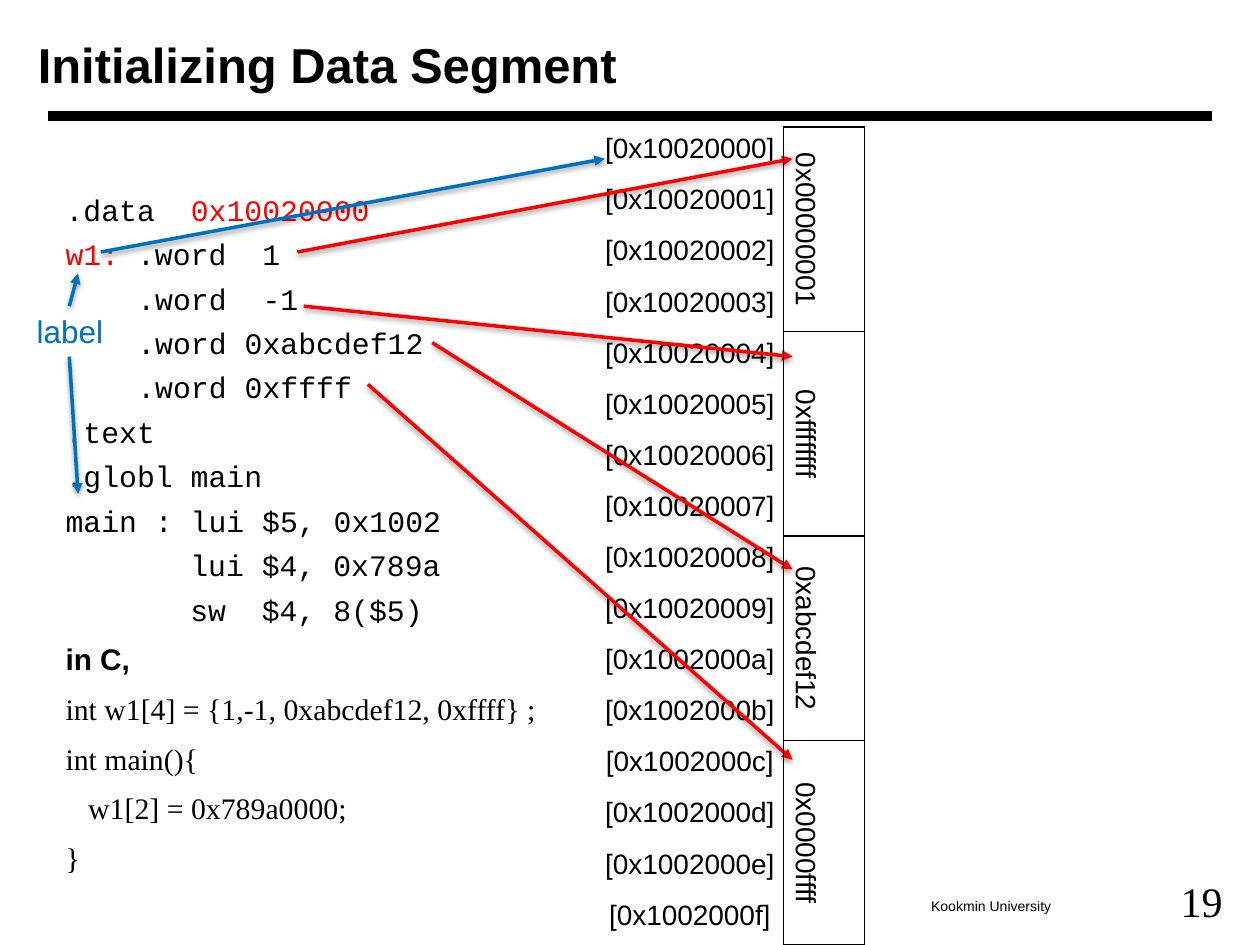
from lxml.etree import SubElement as Sub
from pptx import Presentation
from pptx.dml.color import RGBColor as Rgb
from pptx.enum.shapes import MSO_CONNECTOR as Conn
from pptx.enum.text import MSO_ANCHOR as Anchor, PP_ALIGN as Align
from pptx.oxml import parse_xml
from pptx.oxml.ns import nsdecls, qn
from pptx.util import Pt

PX = 9144  # 100 px to the inch
HEX = {"ink": "000000", "red": "FF0000", "blue": "0070C0"}
SANS, MONO, SERIF = "Arial", "Courier New", "Times New Roman"
PLAIN = "{2D5ABB26-0587-4C30-8999-92F81FD0307C}"  # table style without grid

# Each code line: indent in px, then (text, colour) runs
CODE = [
    (0, [(".data  ", "ink"), ("0x10020000", "red")]),
    (0, [("w1: ", "red"), (".word  1", "ink")]),
    (57, [(".word  -1", "ink")]),
    (57, [(".word 0xabcdef12", "ink")]),
    (57, [(".word 0xffff", "ink")]),
    (0, [(".text", "ink")]),
    (0, [(".globl main", "ink")]),
    (0, [("main : lui $5, 0x1002", "ink")]),
    (99, [("lui $4, 0x789a", "ink")]),
    (99, [("sw  $4, 8($5)", "ink")]),
]
C_CODE = [
    (0, "in C,", SANS),
    (0, "int w1[4] = {1,-1, 0xabcdef12, 0xffff} ;", SERIF),
    (0, "int main(){", SERIF),
    (18, "w1[2] = 0x789a0000;", SERIF),
    (0, "}", SERIF),
]
WORDS = ["0x00000001", "0xffffffff", "0xabcdef12", "0x0000ffff"]
ARROWS = [
    ("blue", 55, 243, 62, 217),
    ("red", 236, 200, 629, 126),
    ("red", 241, 243, 629, 283),
    ("red", 343, 272, 629, 452),
    ("red", 292, 305, 629, 603),
    ("blue", 80, 200, 480, 126),
    ("blue", 55, 283, 62, 392),
]


def style(run, size, face=SANS, hue="ink", bold=False):
    font = run.font
    font.size, font.name, font.bold = Pt(size), face, bold
    font.color.rgb = Rgb.from_string(HEX[hue])


def frame(slide, box, wrap=True):
    tf = slide.shapes.add_textbox(*(n * PX for n in box)).text_frame
    tf.word_wrap = wrap
    tf.margin_left = tf.margin_right = tf.margin_top = tf.margin_bottom = 5 * PX
    return tf


def label(slide, box, text, size, face=SANS, hue="ink", bold=False):
    tf = frame(slide, box, wrap=bold)
    tf.text = text
    tf.vertical_anchor = Anchor.MIDDLE if bold else Anchor.TOP
    style(tf.paragraphs[0].runs[0], size, face, hue, bold)


def line(slide, hue, width, x1, y1, x2, y2):
    link = slide.shapes.add_connector(
        Conn.STRAIGHT, x1 * PX, y1 * PX, x2 * PX, y2 * PX)
    link.line.color.rgb = Rgb.from_string(HEX[hue])
    link.line.width = Pt(width)
    pr = link._element.spPr
    return pr, Sub(pr, qn("a:effectLst"))


def arrow(slide, hue, *ends):
    pr, fx = line(slide, hue, 2, *ends)
    Sub(pr.find(qn("a:ln")), qn("a:tailEnd"), type="triangle")
    shade = Sub(fx, qn("a:outerShdw"), blurRad=str(Pt(3)),
                dist=str(Pt(1.6)), dir="5400000", rotWithShape="0")
    tint = Sub(shade, qn("a:srgbClr"), val=HEX["ink"])
    Sub(tint, qn("a:alpha"), val="38000")


def listing(slide, box):
    tf = frame(slide, box)
    rows = [(pad, runs, MONO, 5) for pad, runs in CODE]
    rows += [(pad, [(text, "ink")], face, 8) for pad, text, face in C_CODE]
    for i, (pad, runs, face, gap) in enumerate(rows):
        para = tf.add_paragraph() if i else tf.paragraphs[0]
        para.space_before = Pt(gap)
        para._p.get_or_add_pPr().set("marL", str(pad * PX))
        for text, hue in runs:
            run = para.add_run()
            run.text = text
            style(run, 17, face, hue, bold=face == SANS)


def edge(cell):
    pr = cell._tc.get_or_add_tcPr()
    for i, side in enumerate("LRTB"):
        pr.insert(i, parse_xml(
            f'<a:ln{side} {nsdecls("a")} w="{Pt(1)}"><a:solidFill>'
            f'<a:srgbClr val="{HEX["ink"]}"/></a:solidFill></a:ln{side}>'))


def column(slide, box, texts, upright=True):
    left, top, wide, high = (n * PX for n in box)
    table = slide.shapes.add_table(len(texts), 1, left, top, wide, high).table
    table.first_row = table.horz_banding = False
    table._tbl.tblPr.find(qn("a:tableStyleId")).text = PLAIN
    for row, text in zip(table.rows, texts):
        row.height = high // len(texts)
        cell = row.cells[0]
        cell.text = text
        cell.fill.background()
        para = cell.text_frame.paragraphs[0]
        para.alignment = Align.CENTER
        style(para.runs[0], 16)
        if not upright:
            cell._tc.get_or_add_tcPr().set("vert", "vert")
            edge(cell)


def main():
    deck = Presentation()
    deck.slide_width, deck.slide_height = 1000 * PX, 750 * PX
    slide = deck.slides.add_slide(deck.slide_layouts[6])

    # Rule, footer and title
    line(slide, "ink", 6, 38, 92, 962, 92)
    label(slide, (734, 707, 106, 22), "Kookmin University", 8)
    label(slide, (932, 690, 44, 46), "19", 24, SERIF)
    label(slide, (25, 17, 833, 67), "Initializing Data Segment", 28, bold=True)

    # Program text and memory addresses
    listing(slide, (47, 147, 872, 560))
    column(slide, (466, 101, 163, 649), [f"[0x{0x10020000 + i:x}]" for i in range(16)])

    # Label, arrows and stored words
    label(slide, (24, 243, 63, 40), "label", 18, hue="blue")
    for ends in ARROWS:
        arrow(slide, *ends)
    column(slide, (622, 101, 64, 649), WORDS, upright=False)
    deck.save("out.pptx")


if __name__ == "__main__":
    main()
